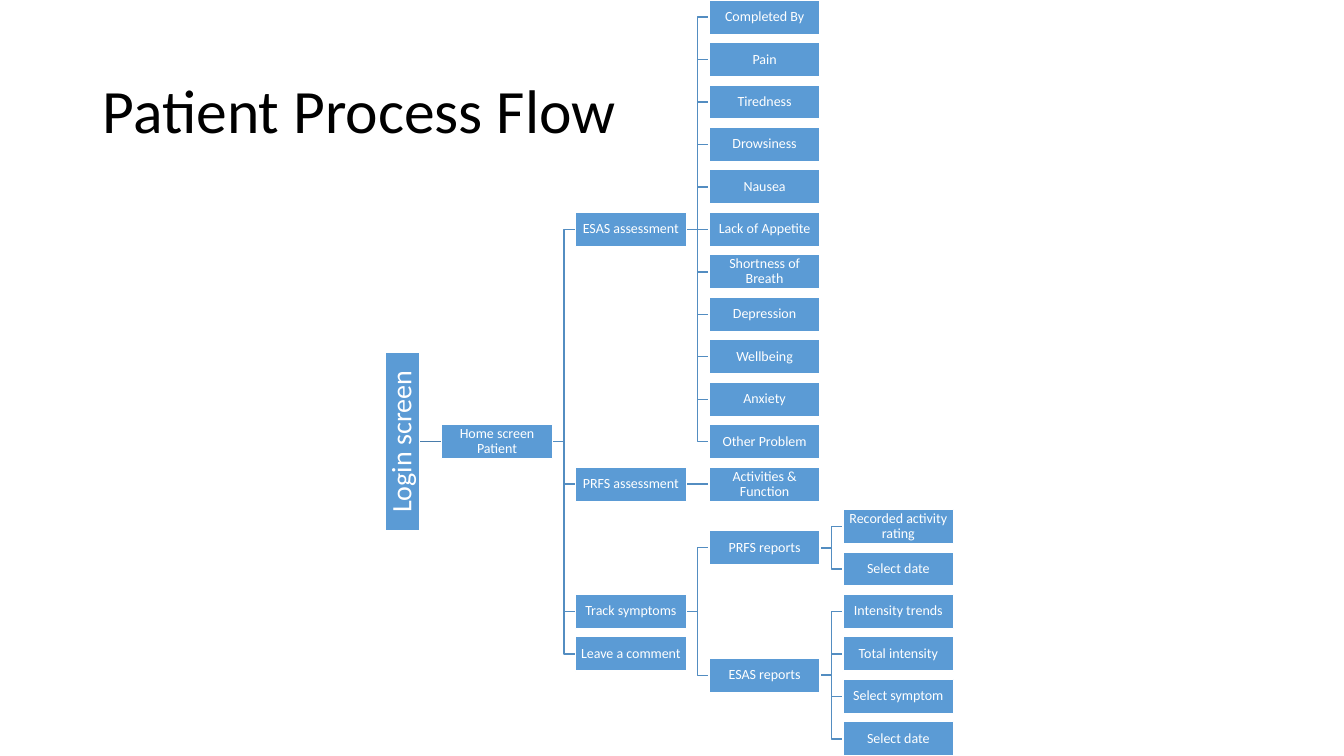
from collections import namedtuple

from lxml import etree
from pptx import Presentation
from pptx.dml.color import RGBColor
from pptx.enum.shapes import MSO_CONNECTOR, MSO_SHAPE
from pptx.enum.text import MSO_ANCHOR, PP_ALIGN
from pptx.oxml.ns import qn
from pptx.util import Emu, Pt

RECTANGLE = MSO_SHAPE.RECTANGLE
STRAIGHT, ELBOW = MSO_CONNECTOR.STRAIGHT, MSO_CONNECTOR.ELBOW
MIDDLE, CENTER = MSO_ANCHOR.MIDDLE, PP_ALIGN.CENTER

PX = 9144  # 100 px to the inch
FONT = "Calibri"
COLORS = {
    "box": "5B9BD5",
    "white": "FFFFFF",
    "title": "000000",
    "branch": "538DC1",
    "trunk": "497CAB",
}

BOX_WIDTH, BOX_HEIGHT = 110, 34
LOGIN_LENGTH, LOGIN_GAP = 177, 22
LEFT_SITE, BOTTOM_SITE, RIGHT_SITE = 1, 2, 3
BACK_OF_TREE = 2

LOGIN = "Login screen"
HOME = ("Home screen Patient", [
    ("ESAS assessment", [
        ("Completed By", []),
        ("Pain", []),
        ("Tiredness", []),
        ("Drowsiness", []),
        ("Nausea", []),
        ("Lack of Appetite", []),
        ("Shortness of Breath", []),
        ("Depression", []),
        ("Wellbeing", []),
        ("Anxiety", []),
        ("Other Problem", []),
    ]),
    ("PRFS assessment", [("Activities & Function", [])]),
    ("Track symptoms", [
        ("PRFS reports", [
            ("Recorded activity rating", []),
            ("Select date", []),
        ]),
        ("ESAS reports", [
            ("Intensity trends", []),
            ("Total intensity", []),
            ("Select symptom", []),
            ("Select date", []),
        ]),
    ]),
    ("Leave a comment", []),
])

Step = namedtuple("Step", "label depth row children")


def px(length):
    return Emu(round(length * PX))


def color(name):
    return RGBColor.from_string(COLORS[name])


def write(shape, text, size, color_name):
    frame = shape.text_frame
    frame.word_wrap = True
    frame.vertical_anchor = MIDDLE
    paragraph = frame.paragraphs[0]
    paragraph.text = text
    paragraph.line_spacing = 0.9
    paragraph.font.name = FONT
    paragraph.font.size = Pt(size)
    paragraph.font.color.rgb = color(color_name)
    return paragraph


def arrange(node, last_rows, depth=0):
    """Center parents on their children; put leaves in the next free row."""
    label, branches = node
    children = [arrange(branch, last_rows, depth + 1) for branch in branches]
    if children:
        row = (children[0].row + children[-1].row) / 2
    else:
        row = 1 + max(last_rows.get(column, -1) for column in range(depth + 1))
    last_rows[depth] = row
    return Step(label, depth, row, children)


def add_box(slide, left, top, width, label, size=10):
    shape = slide.shapes.add_shape(
        RECTANGLE, px(left), px(top), px(width), px(BOX_HEIGHT))
    shape.shadow.inherit = False
    shape.fill.solid()
    shape.fill.fore_color.rgb = color("box")
    shape.line.color.rgb = color("white")
    shape.line.width = Pt(1)
    frame = shape.text_frame
    frame.margin_left = frame.margin_right = px(1)
    frame.margin_top = frame.margin_bottom = px(1)
    write(shape, label, size, "white").alignment = CENTER
    return shape


def link(slide, source, target, site=RIGHT_SITE, color_name="branch"):
    """Join two boxes with a line behind them."""
    start_y = source.top + source.height // 2
    end_y = target.top + target.height // 2
    start_x = source.left + source.width // 2
    # A turned source reaches out by half its height
    start_x += (source.height if source.rotation else source.width) // 2
    kind = STRAIGHT if start_y == end_y else ELBOW
    connector = slide.shapes.add_connector(
        kind, start_x, start_y, target.left, end_y)
    connector.begin_connect(source, site)
    connector.end_connect(target, LEFT_SITE)
    connector.begin_x, connector.begin_y = start_x, start_y
    connector.line.color.rgb = color(color_name)
    connector.line.width = Pt(1)
    element = connector.element
    etree.SubElement(element.spPr, qn("a:effectLst"))
    element.getparent().insert(BACK_OF_TREE, element)


def add_flow(slide, left, top, width, height):
    last_rows = {}
    home = arrange(HOME, last_rows)
    home_left = left + BOX_HEIGHT + LOGIN_GAP
    column_pitch = (left + width - BOX_WIDTH - home_left) / max(last_rows)
    row_pitch = (height - BOX_HEIGHT) / max(last_rows.values())

    def add_branch(step):
        box = add_box(slide, home_left + step.depth * column_pitch,
                      top + step.row * row_pitch, BOX_WIDTH, step.label)
        for child in step.children:
            link(slide, box, add_branch(child))
        return box

    login = add_box(slide, left + (BOX_HEIGHT - LOGIN_LENGTH) / 2,
                    top + home.row * row_pitch, LOGIN_LENGTH, LOGIN, 20)
    login.rotation = 270
    link(slide, login, add_branch(home), BOTTOM_SITE, "trunk")


def add_title(slide, left, top, width, height):
    title = slide.shapes.add_textbox(px(left), px(top), px(width), px(height))
    write(title, "Patient Process Flow", 44, "title")


def main():
    presentation = Presentation()
    presentation.slide_width, presentation.slide_height = px(1333), px(750)
    slide = presentation.slides.add_slide(presentation.slide_layouts[6])
    add_flow(slide, 382, 0, 564, 750)
    add_title(slide, 92, 40, 1150, 145)
    presentation.save("out.pptx")


if __name__ == "__main__":
    main()
